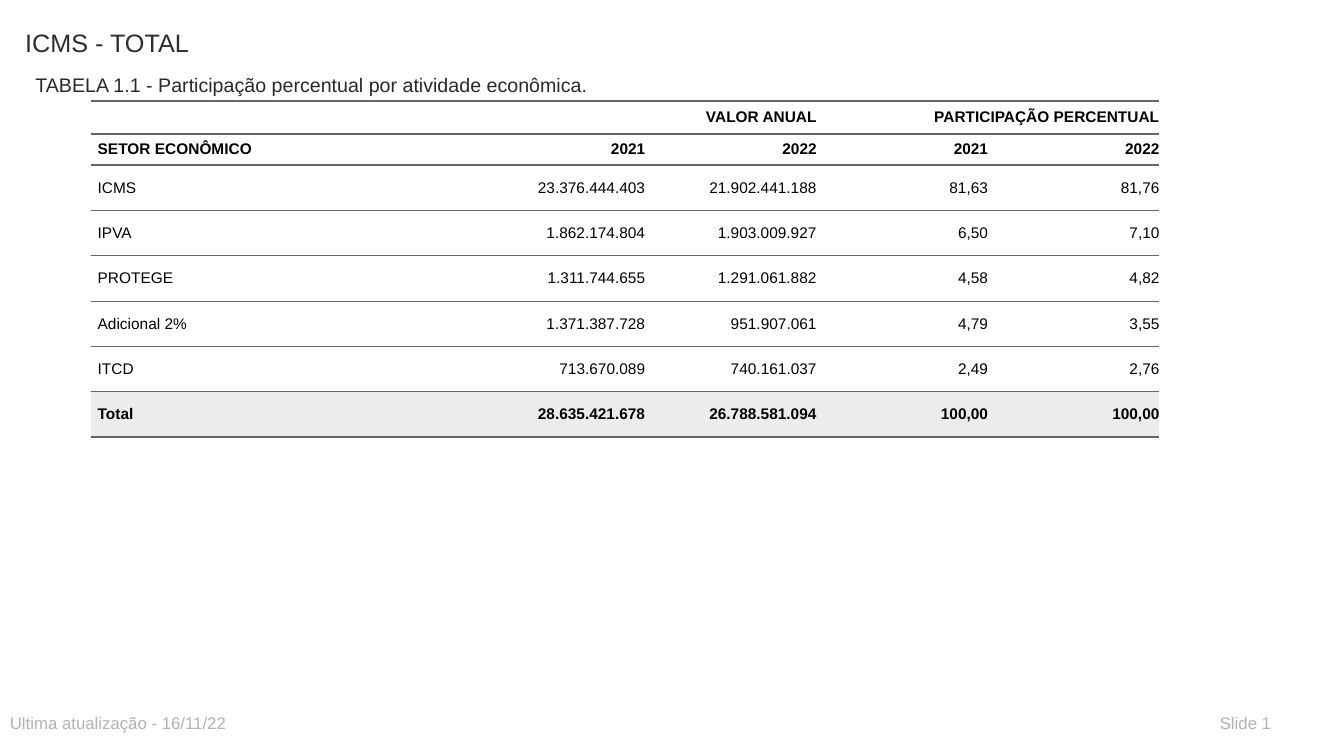
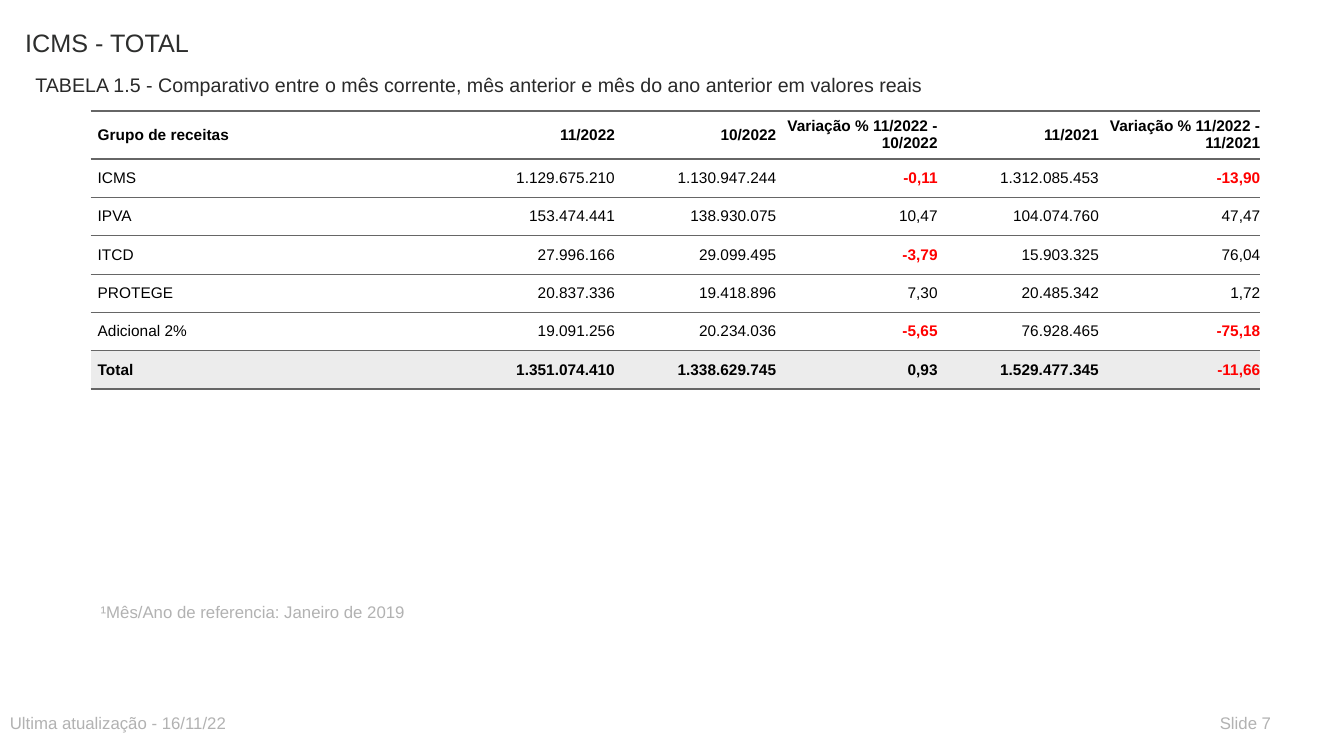
from lxml.etree import SubElement
from pptx import Presentation
from pptx.dml.color import RGBColor
from pptx.enum.text import MSO_ANCHOR as Anchor, MSO_AUTO_SIZE as AutoSize, PP_ALIGN as Align
from pptx.oxml import parse_xml
from pptx.oxml.ns import nsdecls, qn
from pptx.util import Inches, Pt

FONT = "Arial"
TITLE_COLOR = "2D2E2D"
SUBTITLE_COLOR = "292929"
MUTED = "B2B2B2"
INK = "000000"
NEGATIVE = "FF0000"
RULE = "666666"
PAPER = "FFFFFF"
TOTAL_FILL = "ECECEC"
THICK, THIN = 2, 0.5
TABLE_LEFT = 9
TABLE_SIZE = 11
UPDATED = "Ultima atualização - 16/11/22"

ACTIVITY_HEADER = [
    ["", "VALOR ANUAL", "", "PARTICIPAÇÃO PERCENTUAL", ""],
    ["SETOR ECONÔMICO", "2021", "2022", "2021", "2022"],
]
ACTIVITY_ROWS = [
    ["ICMS", "23.376.444.403", "21.902.441.188", "81,63", "81,76"],
    ["IPVA", "1.862.174.804", "1.903.009.927", "6,50", "7,10"],
    ["PROTEGE", "1.311.744.655", "1.291.061.882", "4,58", "4,82"],
    ["Adicional 2%", "1.371.387.728", "951.907.061", "4,79", "3,55"],
    ["ITCD", "713.670.089", "740.161.037", "2,49", "2,76"],
    ["Total", "28.635.421.678", "26.788.581.094", "100,00", "100,00"],
]
MONTHLY_HEADER = [
    ["Grupo de receitas", "11/2022", "10/2022", "Variação % 11/2022 - 10/2022",
     "11/2021", "Variação % 11/2022 - 11/2021"],
]
MONTHLY_ROWS = [
    ["ICMS", "1.129.675.210", "1.130.947.244", "-0,11", "1.312.085.453", "-13,90"],
    ["IPVA", "153.474.441", "138.930.075", "10,47", "104.074.760", "47,47"],
    ["ITCD", "27.996.166", "29.099.495", "-3,79", "15.903.325", "76,04"],
    ["PROTEGE", "20.837.336", "19.418.896", "7,30", "20.485.342", "1,72"],
    ["Adicional 2%", "19.091.256", "20.234.036", "-5,65", "76.928.465", "-75,18"],
    ["Total", "1.351.074.410", "1.338.629.745", "0,93", "1.529.477.345", "-11,66"],
]


def grid(units):
    """Return the length of a number of tenth-of-an-inch grid units."""
    return Inches(units / 10)


def color(code):
    """Return the colour of a hex string."""
    return RGBColor.from_string(code)


def add_span(para, text, size, code, bold=False):
    """Add one formatted run to a paragraph."""
    span = para.add_run()
    span.text = text
    span.font.name = FONT
    span.font.size = Pt(size)
    span.font.bold = bold
    span.font.color.rgb = color(code)


def write_line(box, place, text, size, code):
    """Place a box or placeholder and write one plain line in it."""
    box.left, box.top, box.width, box.height = map(grid, place)
    frame = box.text_frame
    frame.word_wrap = True
    frame.auto_size = AutoSize.NONE
    frame.vertical_anchor = Anchor.TOP
    frame.margin_left = frame.margin_right = Inches(0.1)
    frame.margin_top, frame.margin_bottom = Inches(0.07), Inches(0.03)
    para = frame.paragraphs[0]
    para.alignment = Align.LEFT
    para.space_before = Pt(0)
    properties = para._p.get_or_add_pPr()
    properties.set("marL", "0")
    properties.set("indent", "0")
    SubElement(properties, qn("a:buNone"))
    add_span(para, text, size, code)


def add_label(page, place, text):
    """Add a muted line of small text."""
    write_line(page.shapes.add_textbox(0, 0, 0, 0), place, text, 12, MUTED)


def border(side, width):
    """Return the XML of a cell border, left out where the width is zero."""
    paint = f'<a:solidFill><a:srgbClr val="{RULE}"/></a:solidFill>' if width else "<a:noFill/>"
    return parse_xml(f'<a:ln{side} {nsdecls("a")} w="{Pt(width)}">{paint}</a:ln{side}>')


def style_cell(cell, fill, top, bottom):
    """Set the fill, horizontal rules and margins of a cell."""
    cell.fill.solid()
    cell.fill.fore_color.rgb = color(fill)
    cell.vertical_anchor = Anchor.MIDDLE
    cell.margin_left = cell.margin_right = 0
    cell.margin_top = cell.margin_bottom = Pt(5)
    properties = cell._tc.get_or_add_tcPr()
    widths = {"L": 0, "R": 0, "T": top, "B": bottom}
    for position, (side, width) in enumerate(widths.items()):
        properties.insert(position, border(side, width))


def write_cell(cell, text, is_label, strong):
    """Write a label or a right-aligned value, with negatives in bold red."""
    para = cell.text_frame.paragraphs[0]
    if not text:
        SubElement(para._p, qn("a:endParaRPr"), sz=str(TABLE_SIZE * 100))
        return
    para.alignment = Align.LEFT if is_label else Align.RIGHT
    para.space_before = para.space_after = Pt(5)
    para._p.get_or_add_pPr().set("marL", str(Pt(5)))
    para._p.get_or_add_pPr().set("indent", "0")
    negative = text.startswith("-")
    add_span(para, text, TABLE_SIZE, NEGATIVE if negative else INK, strong or negative)


def add_revenue_table(page, top, widths, row_height, header, rows):
    """Add a ruled table with bold header rows and a shaded total row."""
    lines = header + rows
    heights = [2.5] * len(header) + [row_height] * len(rows)
    frame = page.shapes.add_table(len(lines), len(widths), grid(TABLE_LEFT), grid(top),
                                  grid(sum(widths)), grid(sum(heights)))
    table = frame.table
    table.first_row = table.horz_banding = False
    for column, width in zip(table.columns, widths):
        column.width = grid(width)
    upper = THICK
    for index, (line, height) in enumerate(zip(lines, heights)):
        table.rows[index].height = grid(height)
        is_header, is_total = index < len(header), index == len(lines) - 1
        lower = THICK if is_header or is_total else THIN
        for position, text in enumerate(line):
            cell = table.cell(index, position)
            style_cell(cell, TOTAL_FILL if is_total else PAPER, upper, lower)
            write_cell(cell, text, position == 0, is_header or is_total)
        upper = lower
    return table


def add_page(deck, subtitle, subtitle_width, number):
    """Add a page with the shared title, subtitle and footer."""
    page = deck.slides.add_slide(deck.slide_layouts[1])
    write_line(page.shapes.title, (1.5, 2, 80, 5.9), "ICMS - TOTAL", 18, TITLE_COLOR)
    write_line(page.placeholders[1], (2.5, 6.5, subtitle_width, 3), subtitle, 14, SUBTITLE_COLOR)
    add_label(page, (0, 70, 65, 3), UPDATED)
    add_label(page, (120, 70, 9, 3), f"Slide {number}")
    return page


def main():
    """Build and save the deck."""
    deck = Presentation()
    deck.slide_width, deck.slide_height = grid(133.3), grid(75)

    page = add_page(deck, "TABELA 1.1 - Participação percentual por atividade econômica.", 65, 1)
    table = add_revenue_table(page, 10, [38] + [17] * 4, 4.5, ACTIVITY_HEADER, ACTIVITY_ROWS)
    for first in (1, 3):
        table.cell(0, first).merge(table.cell(0, first + 1))

    page = add_page(deck, "TABELA 1.5 - Comparativo entre o mês corrente, mês anterior "
                          "e mês do ano anterior em valores reais", 100, 7)
    add_revenue_table(page, 11, [36] + [16] * 5, 3.8, MONTHLY_HEADER, MONTHLY_ROWS)
    add_label(page, (TABLE_LEFT, 59, 65, 3), "¹Mês/Ano de referencia: Janeiro de 2019")

    deck.save("out.pptx")


if __name__ == "__main__":
    main()
